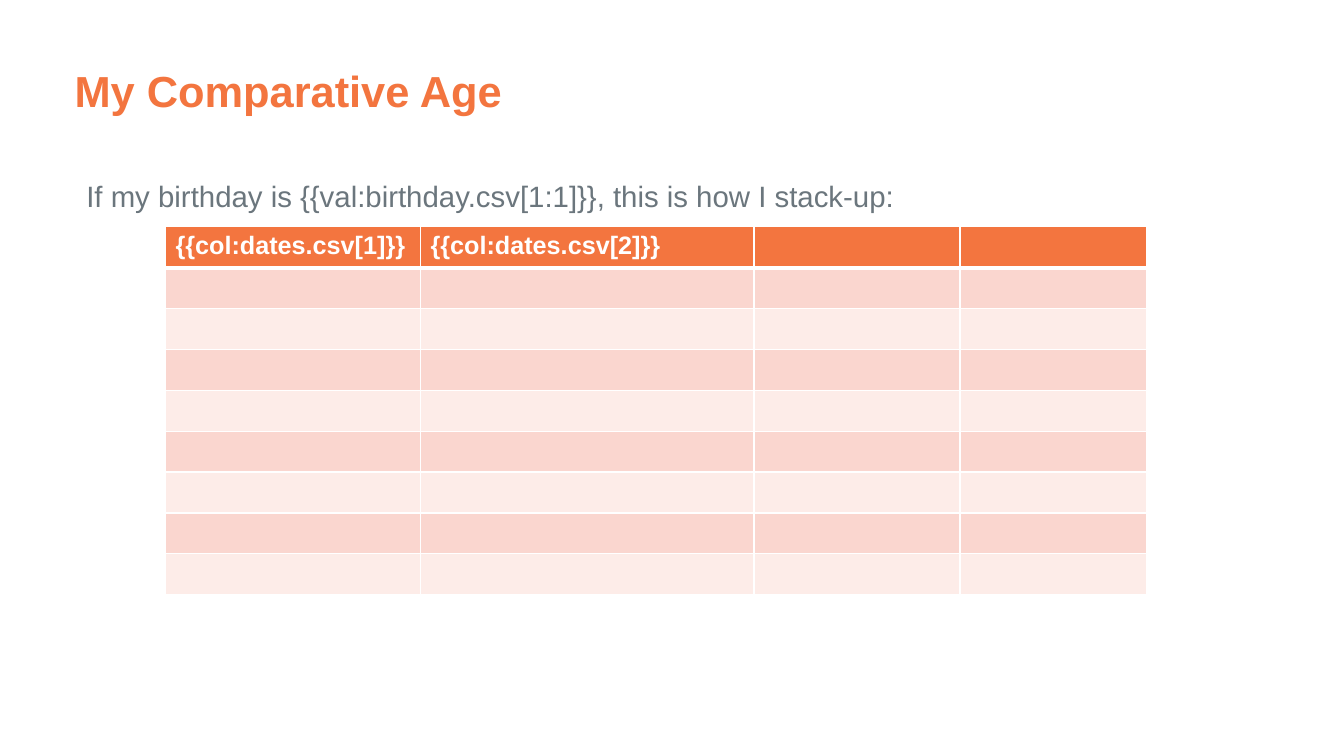
import dataclasses

import lxml.etree
import pptx
import pptx.dml.color
import pptx.enum.text
import pptx.oxml.ns
import pptx.util


@dataclasses.dataclass(frozen=True)
class Theme:
    font: str = "Arial"
    accent: str = "F3753F"
    text: str = "6B767D"
    white: str = "FFFFFF"
    bands: tuple = ("FDECE8", "FAD6CF")
    title_size: int = 31
    body_size: int = 21
    table_size: int = 18
    rule: int = 1
    header_rule: int = 3


@dataclasses.dataclass(frozen=True)
class Box:
    left: float
    top: float
    width: float
    height: float

    def lengths(self):
        return [round(value * UNIT) for value in dataclasses.astuple(self)]


THEME = Theme()
GRID_COLUMNS, GRID_ROWS = 160, 90
UNIT = pptx.util.Inches(7.5) / GRID_ROWS
COLUMN_SHARES = (0.26, 0.34, 0.21, 0.19)
HEADERS = ("{{col:dates.csv[1]}}", "{{col:dates.csv[2]}}")
TABLE_ROWS = 9


def color(value):
    return pptx.dml.color.RGBColor.from_string(value)


def style_paragraph(paragraph, size, value, bold=False):
    paragraph.font.name = THEME.font
    paragraph.font.size = pptx.util.Pt(size)
    paragraph.font.color.rgb = color(value)
    paragraph.font.bold = bold


def add_text(slide, box, text, size, value, bold=False):
    frame = slide.shapes.add_textbox(*box.lengths()).text_frame
    frame.word_wrap = True
    frame.text = text
    style_paragraph(frame.paragraphs[0], size, value, bold)
    return frame


def add_title(slide, box):
    frame = add_text(slide, box, "My Comparative Age", THEME.title_size, THEME.accent, True)
    frame.vertical_anchor = pptx.enum.text.MSO_ANCHOR.BOTTOM
    frame.paragraphs[0].line_spacing = 0.9


def add_introduction(slide, box):
    text = "If my birthday is {{val:birthday.csv[1:1]}}, this is how I stack-up:"
    paragraph = add_text(slide, box, text, THEME.body_size, THEME.text).paragraphs[0]
    paragraph.line_spacing = 1.2
    paragraph.space_before = pptx.util.Pt(10)


def add_border(cell, side, width):
    qn = pptx.oxml.ns.qn
    properties = cell._tc.get_or_add_tcPr()
    line = lxml.etree.SubElement(properties, qn(f"a:ln{side}"), w=str(pptx.util.Pt(width)))
    fill = lxml.etree.SubElement(line, qn("a:solidFill"))
    lxml.etree.SubElement(fill, qn("a:srgbClr"), val=THEME.white)


def style_cell(cell, row):
    top = THEME.header_rule if row == 1 else THEME.rule
    bottom = THEME.header_rule if row == 0 else THEME.rule
    for side, width in zip("LRTB", (THEME.rule, THEME.rule, top, bottom)):
        add_border(cell, side, width)
    cell.fill.solid()
    cell.fill.fore_color.rgb = color(THEME.bands[row % 2] if row else THEME.accent)


def add_age_table(slide, box):
    frame = slide.shapes.add_table(TABLE_ROWS, len(COLUMN_SHARES), *box.lengths())
    table = frame.table
    for column, share in zip(table.columns, COLUMN_SHARES):
        column.width = round(box.width * share * UNIT)
    for index, row in enumerate(table.rows):
        for cell in row.cells:
            style_cell(cell, index)
    for index, header in enumerate(HEADERS):
        cell = table.cell(0, index)
        cell.text = header
        style_paragraph(cell.text_frame.paragraphs[0], THEME.table_size, THEME.white, True)


def build_age_slide(presentation):
    slide = presentation.slides.add_slide(presentation.slide_layouts[6])
    slide.background.fill.solid()
    slide.background.fill.fore_color.rgb = color(THEME.white)
    add_introduction(slide, Box(9.1, 19.8, 136.6, 7.2))
    add_title(slide, Box(7.7, 5.2, 138, 9.3))
    add_age_table(slide, Box(19.7, 27, 116.8, 43.8))


presentation = pptx.Presentation()
presentation.slide_width = round(GRID_COLUMNS * UNIT)
presentation.slide_height = round(GRID_ROWS * UNIT)
build_age_slide(presentation)
presentation.save("out.pptx")
